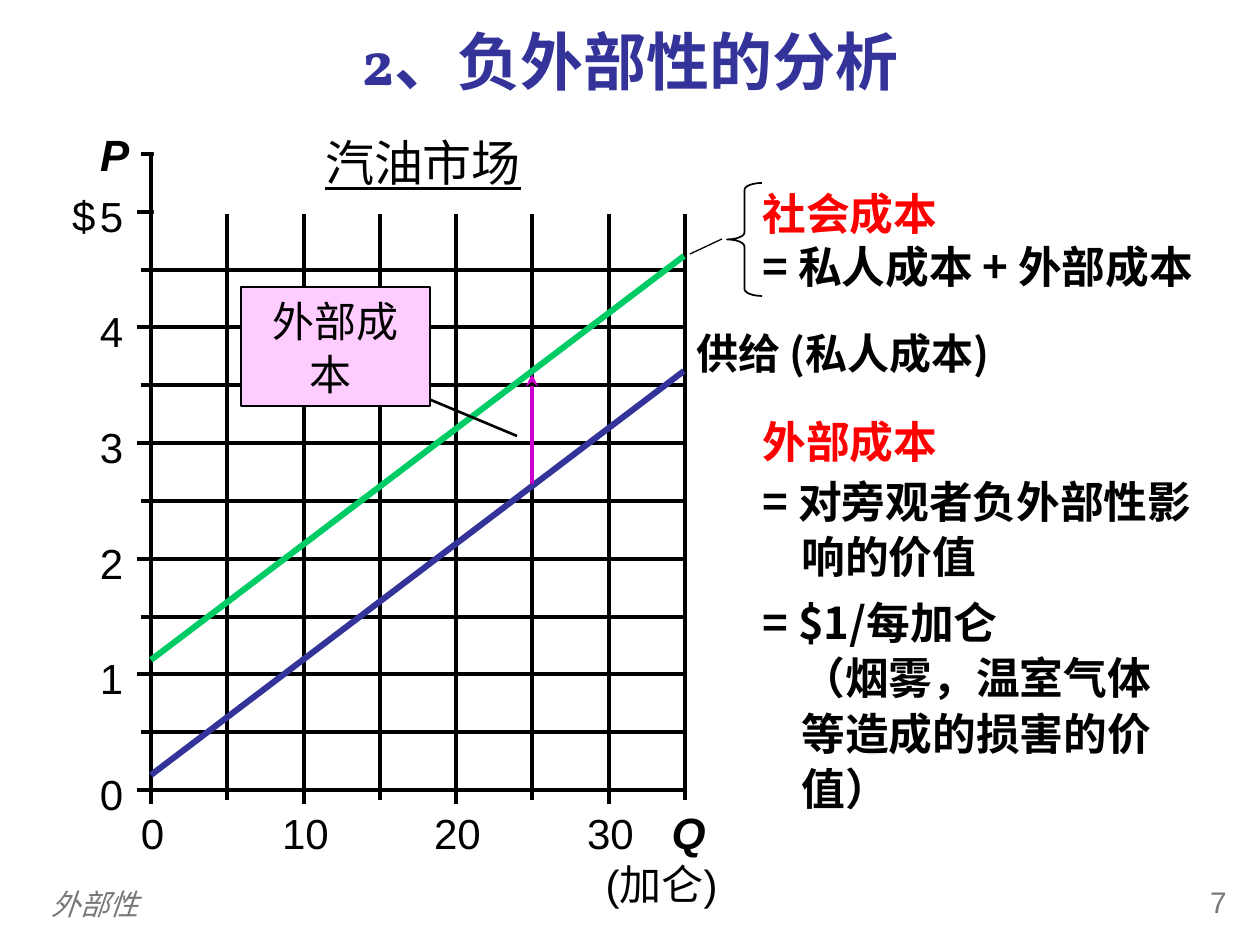
from dataclasses import dataclass
from typing import Optional

import pptx
import pptx.dml.color
import pptx.enum.shapes
import pptx.enum.text
import pptx.oxml.ns
import pptx.util
from lxml import etree

SCALE = 914400 / 126
SHAPES = pptx.enum.shapes.MSO_SHAPE
ALIGN = pptx.enum.text.PP_ALIGN
ANCHOR = pptx.enum.text.MSO_ANCHOR


@dataclass(frozen=True)
class Theme:
    black: str = "000000"
    white: str = "FFFFFF"
    gray: str = "777777"
    blue: str = "333399"
    red: str = "FF0000"
    green: str = "00CC66"
    purple: str = "CC00CC"
    pink: str = "FFCCFF"
    sans: str = "Arial"
    serif: str = "Vollkorn"
    han: str = "Noto Sans CJK SC"
    title: float = 36
    market: float = 28
    term: float = 25
    label: float = 24
    page: float = 17
    footer: float = 16.6


T = Theme()


@dataclass(frozen=True)
class Style:
    size: float = T.label
    color: str = T.black
    font: str = T.sans
    bold: bool = False
    slant: bool = False
    under: bool = False


@dataclass(frozen=True)
class Para:
    text: str  # "\v" breaks the line; each part takes the next style
    styles: tuple = (Style(),)
    before: float = 0
    hang: int = 0


@dataclass(frozen=True)
class Box:
    x: int
    y: int
    w: int
    h: int
    paras: tuple
    align: ALIGN = ALIGN.LEFT
    anchor: ANCHOR = ANCHOR.TOP
    space: Optional[float] = None
    fill: Optional[str] = None
    edge: float = 0
    tight: bool = False


@dataclass(frozen=True)
class Line:
    x1: int
    y1: int
    x2: int
    y2: int
    width: float = 0
    color: str = T.black
    arrow: bool = False


def px(value: float) -> int:
    return round(value * SCALE)


def rgb(color: str) -> pptx.dml.color.RGBColor:
    return pptx.dml.color.RGBColor.from_string(color)


def child(parent, tag: str, **values: str) -> None:
    etree.SubElement(parent, pptx.oxml.ns.qn(tag), **values)


def draw_line(slide, line: Line) -> None:
    link = slide.shapes.add_connector(
        pptx.enum.shapes.MSO_CONNECTOR.STRAIGHT,
        px(line.x1), px(line.y1), px(line.x2), px(line.y2))
    link.line.color.rgb = rgb(line.color)
    link.line.width = pptx.util.Pt(line.width)
    child(link._element.spPr, "a:effectLst")
    if line.arrow:
        child(link.line._get_or_add_ln(), "a:tailEnd", type="stealth")


def draw_shape(slide, kind, x: int, y: int, w: int, h: int,
               fill: Optional[str] = None, edge: float = 0):
    shape = slide.shapes.add_shape(kind, px(x), px(y), px(w), px(h))
    shape.shadow.inherit = False
    if fill:
        shape.fill.solid()
        shape.fill.fore_color.rgb = rgb(fill)
    else:
        shape.fill.background()
    if edge:
        shape.line.color.rgb = rgb(T.black)
        shape.line.width = pptx.util.Pt(edge)
    else:
        shape.line.fill.background()
    return shape


def set_run(run, style: Style) -> None:
    font = run.font
    font.size = pptx.util.Pt(style.size)
    font.color.rgb = rgb(style.color)
    font.name = style.font
    font.bold, font.italic, font.underline = style.bold, style.slant, style.under
    child(run._r.get_or_add_rPr(), "a:ea", typeface=T.han)


def draw_box(slide, box: Box) -> None:
    if box.fill:
        shape = draw_shape(slide, SHAPES.RECTANGLE, box.x, box.y, box.w, box.h,
                           box.fill, box.edge)
    else:
        shape = slide.shapes.add_textbox(px(box.x), px(box.y), px(box.w), px(box.h))
    frame = shape.text_frame
    frame.word_wrap = not box.tight
    frame.vertical_anchor = box.anchor
    if box.tight:
        frame.margin_left = frame.margin_right = 0
        frame.margin_top = frame.margin_bottom = 0
    frame.text = "\n".join(para.text for para in box.paras)
    for row, para in zip(frame.paragraphs, box.paras):
        row.alignment = box.align
        if box.space:
            row.line_spacing = box.space
        if para.before:
            row.space_before = pptx.util.Pt(para.before)
        if para.hang:
            props = row._p.get_or_add_pPr()
            props.set("marL", str(px(para.hang)))
            props.set("indent", str(-px(para.hang)))
        for spot, run in enumerate(row.runs):
            set_run(run, para.styles[min(spot, len(para.styles) - 1)])


def draw_plot(slide) -> None:
    left, right, top, base = 151, 685, 154, 790
    rows = [round(base - i * (base - top) / 11) for i in range(12)]
    cols = [round(left + i * (right - left) / 7) for i in range(8)]

    # Grid and frame
    for y in rows[1:]:
        draw_line(slide, Line(left, y, right, y))
    for x in cols[1:]:
        draw_line(slide, Line(x, top, x, base))
    draw_shape(slide, SHAPES.RECTANGLE, left, top, right - left, base - top, edge=1)

    # Axes, with longer ticks at every second step
    draw_line(slide, Line(left, top, left, base, 2))
    draw_line(slide, Line(left, base, right, base, 2))
    for i, y in enumerate(rows):
        draw_line(slide, Line(left - (10 if i % 2 else 14), y, left, y, 2))
    for i, x in enumerate(cols):
        draw_line(slide, Line(x, base + (10 if i % 2 else 14), x, base, 2))

    # Scale labels
    for i, y in enumerate(rows[::2]):
        draw_box(slide, Box(100, y - 21, 24, 50, (Para(str(i)),), tight=True))
    for i, x in enumerate(cols[::2]):
        draw_box(slide, Box(x - 22, 808, 47, 50, (Para(str(i * 10)),),
                            ALIGN.CENTER, tight=True))


def main() -> None:
    deck = pptx.Presentation()
    deck.slide_width, deck.slide_height = px(1260), px(945)
    slide = deck.slides.add_slide(deck.slide_layouts[6])

    axis = Style(T.term, bold=True, slant=True)
    term = Style(T.term, T.red, T.han, bold=True)
    body = Style(T.term, T.black, T.han, bold=True)

    # Footer and title
    draw_box(slide, Box(39, 881, 1011, 50, (
        Para("外部性", (Style(T.footer, T.gray, slant=True),)),),
        anchor=ANCHOR.MIDDLE, space=0.9))
    draw_box(slide, Box(1144, 878, 95, 50, (
        Para("7", (Style(T.page, T.gray),)),), ALIGN.RIGHT))
    draw_box(slide, Box(63, 16, 1134, 89, (
        Para("2、负外部性的分析", (Style(T.title, T.blue, T.serif, bold=True),)),),
        ALIGN.CENTER, ANCHOR.MIDDLE))

    # Plot with its axis names and heading
    draw_plot(slide)
    for box in (
        Box(523, 800, 207, 116, (Para("Q \v(加仑)", (axis, Style())),), ALIGN.RIGHT),
        Box(82, 122, 58, 66, (Para("P ", (axis,)),), ALIGN.RIGHT),
        Box(58, 183, 50, 63, (Para("$"),), ALIGN.RIGHT),
        Box(154, 126, 538, 88, (
            Para("汽油市场", (Style(T.market, under=True),)),),
            ALIGN.CENTER, fill=T.white),
    ):
        draw_box(slide, box)

    # Cost curves, gap arrow and pointers
    for line in (
        Line(151, 775, 684, 371, 3.5, T.blue),
        Line(532, 484, 532, 374, 2.5, T.purple, True),
        Line(151, 660, 684, 256, 3.5, T.green),
        Line(722, 239, 690, 254, 0.75),
        Line(388, 382, 517, 436, 1.5),
    ):
        draw_line(slide, line)
    brace = draw_shape(slide, SHAPES.LEFT_BRACE, 727, 183, 35, 113, edge=1)
    brace.adjustments[0] = 0.2

    # Callout and notes on the right
    for box in (
        Box(241, 287, 189, 119, (Para("外部成本 "),), ALIGN.CENTER,
            space=1.05, fill=T.pink, edge=0.75),
        Box(684, 321, 411, 63, (
            Para("供给 (私人成本)", (Style(font=T.han, bold=True),)),)),
        Box(750, 181, 490, 118, (
            Para("社会成本 \v= 私人成本 + 外部成本", (term, body)),)),
        Box(750, 406, 455, 415, (
            Para("外部成本", (term,), hang=39),
            Para("= 对旁观者负外部性影响的价值", (body,), 3.1, 39),
            Para("= $1/每加仑\v（烟雾，温室气体等造成的损害的价值）",
                 (body,), 6.2, 39)), space=1.05),
    ):
        draw_box(slide, box)

    deck.save("out.pptx")


if __name__ == "__main__":
    main()
